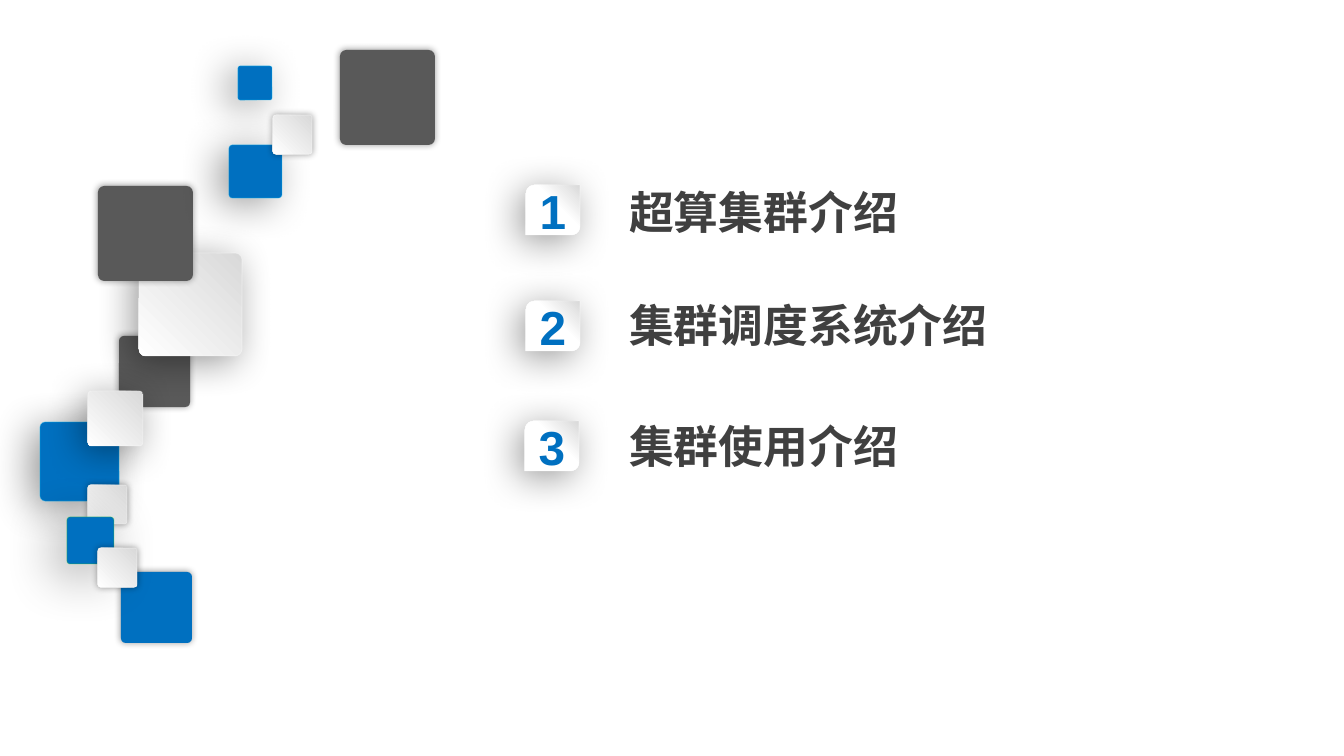
from lxml import etree
from pptx import Presentation
from pptx import util as u
from pptx.dml import color
from pptx.enum import shapes, text
from pptx.oxml import ns

COMPARISON_LAYOUT = 4
GLOW = (5, 0, 0)
SOFT = (27, 6, 135)
WIDE = (29, 8, 150)
FAR = (40, 9, 135)

GREY = {"fill": "595959", "line": None}
BLUE = {"fill": "0070C0", "line": None}
CYAN_EDGE = {"fill": "0070C0", "line": "00B0F0"}
GREEN_EDGE = {"fill": "0070C0", "line": "33CC33"}
SILVER = {"fill": (("D9D9D9", 0), ("FFFFFF", 1)), "line": "FFFFFF"}
BADGE = {"fill": (("D9D9D9", 0), ("FFFFFF", 0.42)), "line": "FFFFFF"}

SQUARES = [
    (40, 422, 79, CYAN_EDGE, WIDE),
    (119, 336, 71, GREY, GLOW),
    (88, 391, 55, SILVER, SOFT),
    (88, 485, 39, SILVER, GLOW),
    (139, 253, 103, SILVER, SOFT),
    (121, 572, 71, BLUE, GLOW),
    (67, 517, 47, GREEN_EDGE, FAR),
    (98, 548, 39, SILVER, GLOW),
    (98, 186, 95, GREY, GLOW),
    (229, 145, 53, CYAN_EDGE, WIDE),
    (238, 66, 34, CYAN_EDGE, WIDE),
    (273, 115, 39, SILVER, GLOW),
    (340, 50, 95, GREY, GLOW),
]
TOPICS = [
    ("1", "超算集群介绍", 526, 185, 176),
    ("2", "集群调度系统介绍", 526, 301, 289),
    ("3", "集群使用介绍", 525, 421, 410),
]


def px(length):
    """Turn pixels into EMU."""
    return u.Emu(round(length * 914400 / 100.8))


def rgb(value):
    """Turn a hex string into a colour."""
    return color.RGBColor.from_string(value)


def assign(target, values):
    """Set every attribute named in a dict."""
    for name, value in values.items():
        setattr(target, name, value)


def add_alpha(colour, percent):
    """Make a colour element partly opaque."""
    etree.SubElement(colour, ns.qn("a:alpha")).set("val", str(percent * 1000))


class AgendaSlide:
    """Hold the style and the current slide."""

    number_font = {"name": "Arial", "size": u.Pt(34.1), "bold": True}
    topic_font = {"name": "Arial", "size": u.Pt(32), "bold": True}

    def __init__(self, presentation):
        """Add a slide to the presentation."""
        layout = presentation.slide_layouts[COMPARISON_LAYOUT]
        self.slide = presentation.slides.add_slide(layout)

    def paint(self, shape, look):
        """Apply a solid or gradient fill and an outline."""
        if isinstance(look["fill"], str):
            shape.fill.solid()
            shape.fill.fore_color.rgb = rgb(look["fill"])
        else:
            shape.fill.gradient()
            shape.fill.gradient_angle = 225
            for stop, (value, position) in zip(shape.fill.gradient_stops, look["fill"]):
                stop.color.rgb = rgb(value)
                stop.position = position
        if look["line"] is None:
            shape.line.fill.background()
            return
        shape.line.color.rgb = rgb(look["line"])
        shape.line.width = u.Pt(0.75)
        outline = shape.element.spPr.find(ns.qn("a:ln"))
        add_alpha(outline.find(".//" + ns.qn("a:srgbClr")), 30)

    def cast_shadow(self, shape, shadow):
        """Add an outer shadow given as blur, distance and angle."""
        shape.shadow.inherit = False
        effects = shape.element.spPr.find(ns.qn("a:effectLst"))
        outer = etree.SubElement(effects, ns.qn("a:outerShdw"))
        blur, distance, angle = shadow
        settings = {"blurRad": u.Pt(blur), "dist": u.Pt(distance), "dir": angle * 60000}
        for name, value in settings.items():
            outer.set(name, str(int(value)))
        outer.set("algn", "ctr")
        outer.set("rotWithShape", "0")
        colour = etree.SubElement(outer, ns.qn("a:srgbClr"), val="000000")
        add_alpha(colour, 40)

    def block(self, kind, box, look, shadow):
        """Draw a preset shape with a fill, outline and shadow."""
        shape = self.slide.shapes.add_shape(kind, *map(px, box))
        self.paint(shape, look)
        self.cast_shadow(shape, shadow)
        return shape

    def square(self, left, top, size, look, shadow):
        """Draw a rounded decorative square."""
        kind = shapes.MSO_SHAPE.ROUNDED_RECTANGLE
        shape = self.block(kind, (left, top, size, size), look, shadow)
        shape.adjustments[0] = 0.067

    def label(self, shape, words, font, colour, align, margins):
        """Put one formatted line into a shape."""
        side, edge = map(px, margins)
        frame = shape.text_frame
        assign(frame, {
            "text": words, "word_wrap": True,
            "auto_size": text.MSO_AUTO_SIZE.NONE,
            "vertical_anchor": text.MSO_ANCHOR.MIDDLE,
            "margin_left": side, "margin_right": side,
            "margin_top": edge, "margin_bottom": edge,
        })
        paragraph = frame.paragraphs[0]
        assign(paragraph, {"alignment": align, "space_before": u.Pt(0)})
        run = paragraph.runs[0]
        assign(run.font, font)
        run.font.color.rgb = rgb(colour)
        return paragraph

    def badge(self, number, left, top):
        """Draw a numbered badge."""
        kind = shapes.MSO_SHAPE.ROUND_2_DIAG_RECTANGLE
        shape = self.block(kind, (left, top, 54, 50), BADGE, SOFT)
        self.label(shape, number, self.number_font, "0070C0", text.PP_ALIGN.CENTER, (9, 4))

    def topic(self, placeholder, words, top):
        """Place a topic in a body placeholder without a bullet."""
        assign(placeholder, {"left": px(616), "top": px(top), "width": px(697), "height": px(72)})
        paragraph = self.label(
            placeholder, words, self.topic_font, "404040", text.PP_ALIGN.LEFT, (13, 7))
        properties = paragraph._p.get_or_add_pPr()
        properties.set("marL", "0")
        properties.set("indent", "0")
        etree.SubElement(properties, ns.qn("a:buNone"))

    def topics(self, rows):
        """Fill body placeholders with topics and remove the unused ones."""
        title, *bodies = list(self.slide.placeholders)
        for placeholder, (number, words, left, badge_top, top) in zip(bodies, rows):
            self.badge(number, left, badge_top)
            self.topic(placeholder, words, top)
        for unused in [title, *bodies[len(rows):]]:
            unused.element.getparent().remove(unused.element)


def main():
    """Build and save the agenda."""
    presentation = Presentation()
    assign(presentation, {"slide_width": px(1344), "slide_height": px(756)})
    agenda = AgendaSlide(presentation)
    for square in SQUARES:
        agenda.square(*square)
    agenda.topics(TOPICS)
    presentation.save("out.pptx")


if __name__ == "__main__":
    main()
